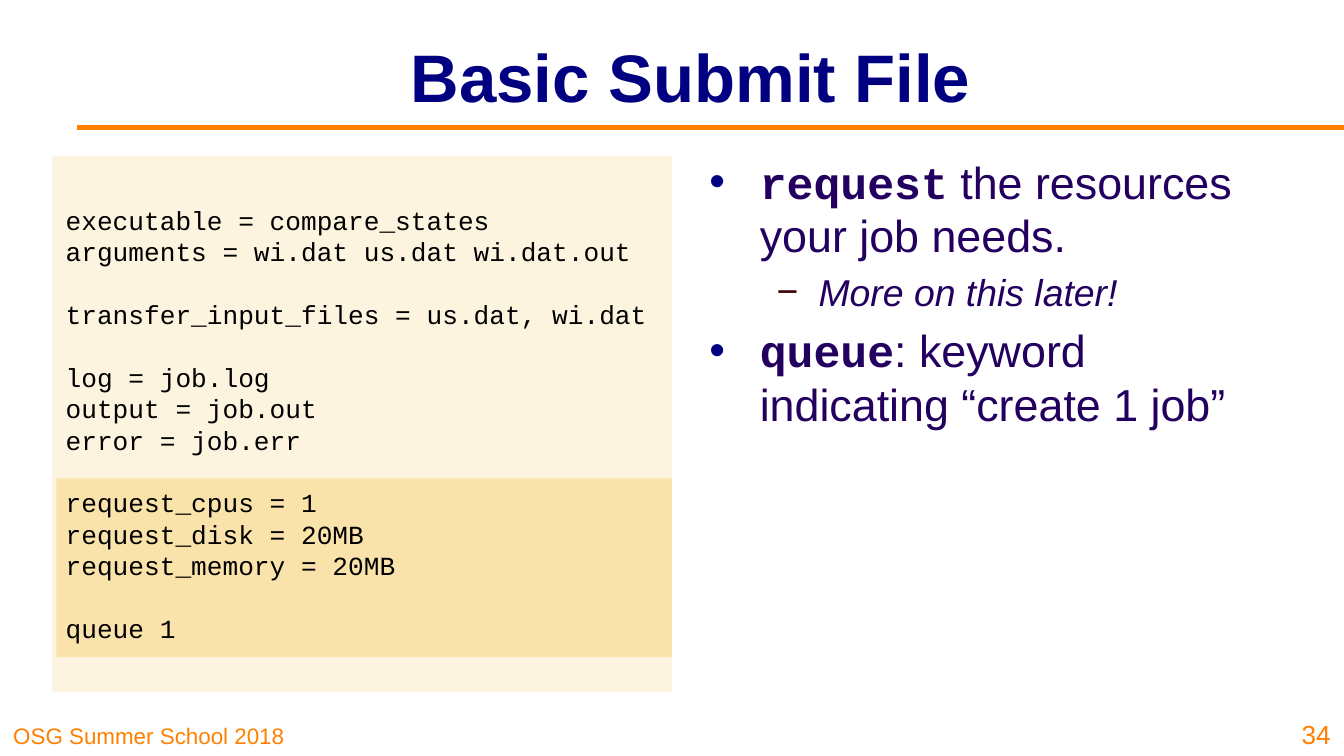
from lxml import etree
from pptx import Presentation
from pptx.dml.color import RGBColor
from pptx.enum.shapes import MSO_CONNECTOR, MSO_SHAPE
from pptx.enum.text import MSO_ANCHOR, PP_ALIGN
from pptx.oxml.ns import qn
from pptx.util import Inches, Pt

COLORS = {
    "orange": "FF8000", "navy": "000080", "purple": "23005F", "maroon": "3C0000",
    "black": "000000", "cream": "FDF4DF", "highlight": "FAE3AA",
}
SANS, MONO = "Arial", "Courier New"
LINE_FACTOR = 1.2

CODE_SIZE = 14
CODE_GROUPS = [
    ["executable = compare_states", "arguments = wi.dat us.dat wi.dat.out"],
    ["transfer_input_files = us.dat, wi.dat"],
    ["log = job.log", "output = job.out", "error = job.err"],
    ["request_cpus = 1", "request_disk = 20MB", "request_memory = 20MB"],
    ["queue 1"],
]

KEYWORD = {"name": MONO, "bold": True}
PLAIN = {"name": SANS}
TOP_LEVEL = {"level": 0, "size": 24, "left": Pt(27), "hanging": Pt(27),
             "bullet": "•", "bullet_color": "navy"}
SUB_LEVEL = {"level": 1, "size": 20, "left": Pt(58.5), "hanging": Pt(22.5),
             "bullet": "−", "bullet_color": "maroon"}
NOTES = [
    (TOP_LEVEL, [("request", KEYWORD), (" the resources your job needs.", PLAIN)]),
    (SUB_LEVEL, [("More on this later!", {"name": SANS, "italic": True})]),
    (TOP_LEVEL, [("queue", KEYWORD), (": keyword indicating “create 1 job”", PLAIN)]),
]


def rgb(color):
    return RGBColor.from_string(COLORS[color])


def add_text_frame(slide, box, anchor=MSO_ANCHOR.TOP):
    text_frame = slide.shapes.add_textbox(*map(Inches, box)).text_frame
    text_frame.word_wrap = True
    text_frame.vertical_anchor = anchor
    return text_frame


def add_run(paragraph, text, size, color, **formats):
    run = paragraph.add_run()
    run.text = text
    run.font.color.rgb = rgb(color)
    for attribute, value in {"size": Pt(size), **formats}.items():
        setattr(run.font, attribute, value)


def add_label(slide, box, text, size, color, anchor, alignment, bold=False):
    """Place a single line of sans-serif text."""
    paragraph = add_text_frame(slide, box, anchor).paragraphs[0]
    paragraph.alignment = alignment
    add_run(paragraph, text, size, color, name=SANS, bold=bold)


def add_panel(slide, box, color):
    panel = slide.shapes.add_shape(MSO_SHAPE.RECTANGLE, *map(Inches, box))
    panel.shadow.inherit = False
    panel.fill.solid()
    panel.fill.fore_color.rgb = rgb(color)
    panel.line.fill.background()


def add_rule(slide, left, right, top):
    rule = slide.shapes.add_connector(
        MSO_CONNECTOR.STRAIGHT, Inches(left), Inches(top), Inches(right), Inches(top))
    rule.line.color.rgb = rgb("orange")
    rule.line.width = Pt(3)
    etree.SubElement(rule._element.spPr, qn("a:effectLst"))


def add_paragraphs(text_frame, count):
    return [text_frame.paragraphs[0]] + [
        text_frame.add_paragraph() for _ in range(count - 1)]


def set_bullet(paragraph, style):
    properties = paragraph._p.get_or_add_pPr()
    properties.set("marL", str(style["left"]))
    properties.set("indent", str(-style["hanging"]))
    bullet_color = etree.SubElement(properties, qn("a:buClr"))
    etree.SubElement(bullet_color, qn("a:srgbClr"), val=COLORS[style["bullet_color"]])
    etree.SubElement(properties, qn("a:buFont"), typeface=SANS)
    etree.SubElement(properties, qn("a:buChar"), char=style["bullet"])


def add_code(slide, box):
    """Show the submit file with its last two groups highlighted."""
    left, top, width, height = box
    add_panel(slide, box, "cream")
    add_panel(slide, (left + 0.03, top + 2.4, width - 0.03, 1.33), "highlight")
    text_frame = add_text_frame(slide, box, MSO_ANCHOR.MIDDLE)
    lines = [(line, index > 0 and position == 0)
             for index, group in enumerate(CODE_GROUPS)
             for position, line in enumerate(group)]
    pitch = Pt(CODE_SIZE * LINE_FACTOR)
    for paragraph, (line, starts_group) in zip(
            add_paragraphs(text_frame, len(lines)), lines):
        paragraph.line_spacing = pitch
        if starts_group:
            paragraph.space_before = pitch
        add_run(paragraph, line, CODE_SIZE, "black", name=MONO)


def add_notes(slide, box):
    """Place the bulleted explanation."""
    paragraphs = add_paragraphs(add_text_frame(slide, box), len(NOTES))
    for index, (paragraph, (style, runs)) in enumerate(zip(paragraphs, NOTES)):
        set_bullet(paragraph, style)
        paragraph.level = style["level"]
        paragraph.line_spacing = Pt(style["size"] * LINE_FACTOR)
        if index:
            paragraph.space_before = Pt(style["size"] * 0.2)
        for text, formats in runs:
            add_run(paragraph, text, style["size"], "purple", **formats)


def add_footer(slide, width, bottom):
    add_label(slide, (0, bottom - 0.31, 2.48, 0.31), "OSG Summer School 2018",
              12, "orange", MSO_ANCHOR.BOTTOM, PP_ALIGN.LEFT)
    add_label(slide, (width - 0.46, bottom - 0.38, 0.46, 0.38), "34",
              14, "orange", MSO_ANCHOR.BOTTOM, PP_ALIGN.RIGHT)


def main():
    width = 10
    height = width * 9 / 16
    presentation = Presentation()
    presentation.slide_width = Inches(width)
    presentation.slide_height = Inches(height)
    slide = presentation.slides.add_slide(presentation.slide_layouts[6])

    add_rule(slide, 0.57, width, 0.95)
    add_label(slide, (1.34, 0.09, 7.6, 0.94), "Basic Submit File",
              36, "navy", MSO_ANCHOR.MIDDLE, PP_ALIGN.CENTER, bold=True)
    add_notes(slide, (5.18, 1.1, 4.17, 3.84))
    add_code(slide, (0.39, 1.16, 4.61, 3.99))
    add_footer(slide, width, height)
    presentation.save("out.pptx")


if __name__ == "__main__":
    main()
